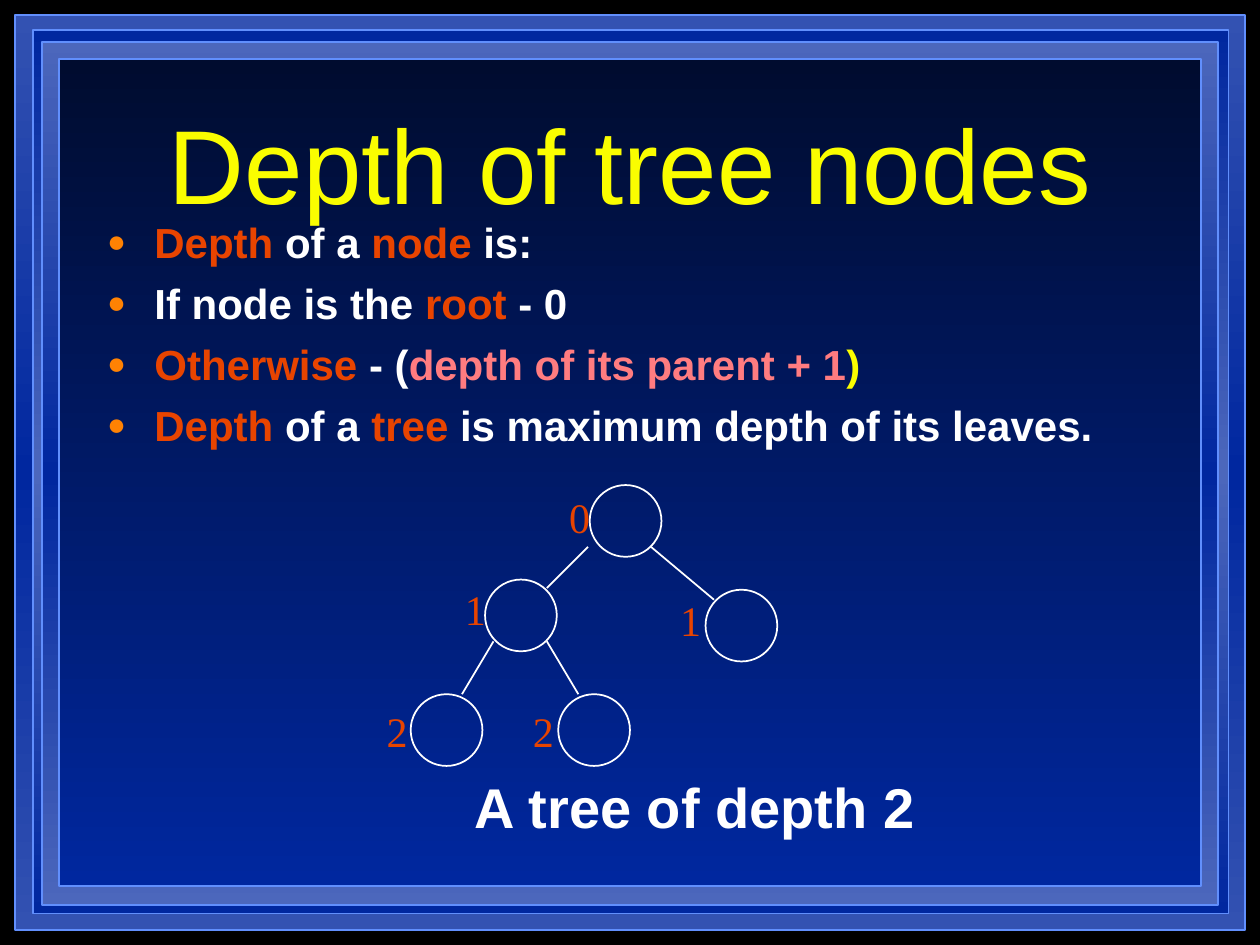
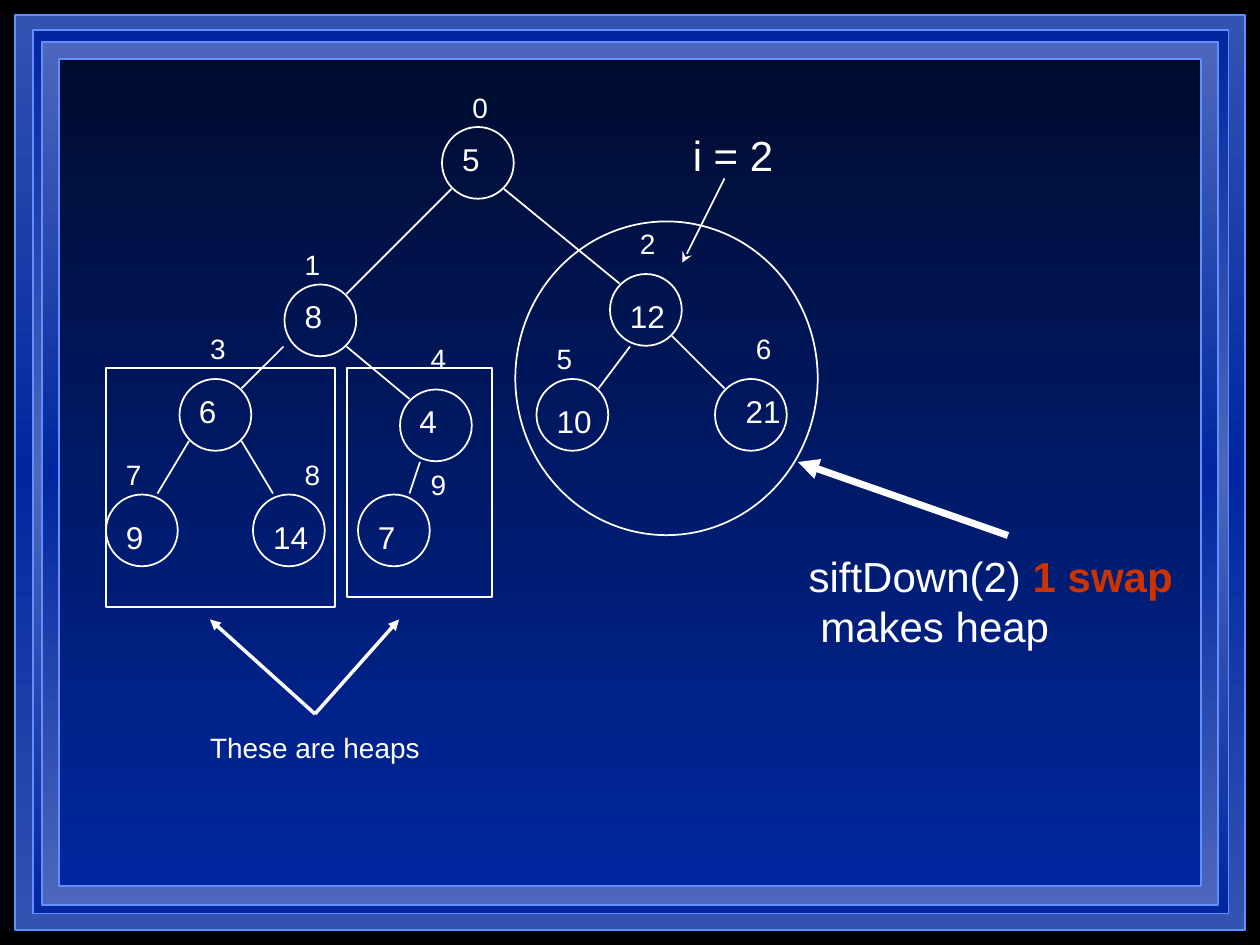
from lxml import etree
from pptx import Presentation
from pptx.dml.color import RGBColor
from pptx.enum.shapes import MSO_CONNECTOR, MSO_SHAPE
from pptx.enum.text import MSO_ANCHOR, MSO_AUTO_SIZE, PP_ALIGN
from pptx.oxml.ns import qn
from pptx.util import Pt

RECT, OVAL = MSO_SHAPE.RECTANGLE, MSO_SHAPE.OVAL
LEFT, CENTER = PP_ALIGN.LEFT, PP_ALIGN.CENTER
TOP, MIDDLE = MSO_ANCHOR.TOP, MSO_ANCHOR.MIDDLE
STRAIGHT = MSO_CONNECTOR.STRAIGHT

WHITE, YELLOW, ORANGE, PINK = "FFFFFF", "FAFD00", "E84400", "FF7C80"
RED, BULLET, EDGE, BLACK = "CC3300", "FF8203", "618FFD", "000000"
SANS, SERIF = "Arial", "Times New Roman"
NODE = 41  # diameter of every tree node

# Nested frames: left, top, width, height, gradient colours from top to bottom
FRAMES = [
    (8.6, 8.6, 702.8, 522.8, ("3352B2", "00279F", "3352B2")),
    (18.7, 17.3, 683.3, 504.8, ("00279F", "4C67BC", "00279F")),
    (23.8, 23.8, 672.4, 493.2, ("4C67BC", "00279F", "4C67BC")),
    (33.8, 33.8, 652.4, 472.4, ("000C2F", "00279F")),
]

# Slide 1: depth of tree nodes
DEPTH_TITLE = "Depth of tree nodes"
DEPTH_BULLETS = [
    [("Depth", ORANGE), (" of a ", WHITE), ("node", ORANGE), (" is:", WHITE)],
    [("If node is the ", WHITE), ("root", ORANGE), (" - 0", WHITE)],
    [("Otherwise", ORANGE), (" - (", WHITE),
     ("depth of its parent + 1", PINK), (")", YELLOW)],
    [("Depth", ORANGE), (" of a ", WHITE), ("tree", ORANGE),
     (" is maximum depth of its leaves.", WHITE)],
]
# Depth, node left and top, label left and top
DEPTH_NODES = [
    ("1", 403.2, 337, 381.6, 336.2),
    ("1", 277.2, 331.2, 258.5, 329.8),
    ("2", 234.7, 396.7, 213.8, 399.6),
    ("2", 319, 396.7, 297.4, 399.6),
]
DEPTH_ROOT = (337, 277.2)
DEPTH_EDGES = [
    (336, 312.5, 312.5, 336), (372, 312.5, 408, 342.7),
    (282, 366.5, 264, 396.7), (312.5, 366.5, 330.5, 396.7),
]

# Slide 2: heap nodes in index order
# Value, node left and top, value left and top, index left and top
HEAP_NODES = [
    ("5", 252.6, 72.6, 257, 76.3, 262.8, 48.2),
    ("8", 162.6, 162.6, 167, 166.3, 167, 138.2),
    ("12", 348.6, 156.6, 352.8, 166.3, 358.6, 126),
    ("6", 102.6, 216.6, 106.6, 220.3, 113, 185.8),
    ("4", 228.6, 222.6, 232.6, 226.3, 239, 191.5),
    ("10", 306.6, 216.6, 311, 226.3, 311, 191.5),
    ("21", 408.6, 216.6, 419, 220.3, 424.8, 185.8),
    ("9", 60.6, 282.6, 64.8, 292.3, 64.8, 257.8),
    ("14", 144.6, 282.6, 149, 292.3, 167, 257.8),
    ("7", 204.6, 282.6, 208.8, 292.3, 239, 263.5),
]
HEAP_EDGES = [
    (258, 108, 198, 168), (288, 108, 354, 162), (162, 198, 138, 222),
    (198, 198, 234, 228), (108, 252, 90, 282), (138, 252, 156, 282),
    (240, 264, 234, 282), (360, 198, 342, 222), (384, 192, 414, 222),
]
SUBTREE_OUTLINES = [
    (RECT, 60.5, 210.2, 131, 136.8),
    (RECT, 198.4, 210.2, 83, 131),
    (OVAL, 294.5, 126.5, 172.8, 179.3),
]
# Start, tip, line width, arrowhead
HEAP_ARROWS = [
    (180, 408, 120, 354, 2, "triangle"),
    (180, 408, 228, 354, 2, "triangle"),
    (414, 102, 390, 150, 1, "stealth"),
    (576, 306, 456, 264, 4, "triangle"),
]
SIFT_NOTE = [("siftDown(2) ", WHITE), ("1 swap", RED, True), ("\n", WHITE),
             (" makes heap", WHITE)]


def rgb(value):
    return RGBColor.from_string(value)


def place(s, x, y, w, h):
    s.left, s.top, s.width, s.height = Pt(x), Pt(y), Pt(w), Pt(h)


def write(p, content, size=24, color=WHITE, font=SANS, bold=False):
    """Fill a paragraph from a string or (text, colour, bold) runs."""
    runs = [(content, color)] if isinstance(content, str) else content
    for part, part_color, *part_bold in runs:
        if part == "\n":
            p.add_line_break()
            continue
        r = p.add_run()
        r.text = part
        r.font.name, r.font.size = font, Pt(size)
        r.font.bold = part_bold[0] if part_bold else bold
        r.font.color.rgb = rgb(part_color)


def text(slide, content, x, y, w, h, align=LEFT, anchor=TOP, wrap=False,
         **style):
    tf = slide.shapes.add_textbox(Pt(x), Pt(y), Pt(w), Pt(h)).text_frame
    tf.word_wrap, tf.vertical_anchor = wrap, anchor
    tf.paragraphs[0].alignment = align
    write(tf.paragraphs[0], content, **style)


def outline(slide, kind, x, y, w, h, color=WHITE):
    s = slide.shapes.add_shape(kind, Pt(x), Pt(y), Pt(w), Pt(h))
    s.shadow.inherit = False
    s.fill.background()
    s.line.color.rgb, s.line.width = rgb(color), Pt(1)
    return s


def node(slide, x, y):
    outline(slide, OVAL, x, y, NODE, NODE)


def line(slide, x1, y1, x2, y2, width=1, arrow=None):
    s = slide.shapes.add_connector(STRAIGHT, Pt(x1), Pt(y1), Pt(x2), Pt(y2))
    s.line.color.rgb, s.line.width = rgb(WHITE), Pt(width)
    if arrow:
        etree.SubElement(s.line._get_or_add_ln(), qn("a:tailEnd"), type=arrow)
    etree.SubElement(s.element.spPr, qn("a:effectLst"))


def shade(s, colors):
    """Top-to-bottom gradient with evenly spaced stops."""
    s.fill.gradient()
    s.fill.gradient_angle = 270
    stops = s.element.spPr.find(".//" + qn("a:gsLst"))
    for stop in list(stops):
        stops.remove(stop)
    for i, color in enumerate(colors):
        pos = 100000 * i // (len(colors) - 1)
        stop = etree.SubElement(stops, qn("a:gs"), pos=str(pos))
        etree.SubElement(stop, qn("a:srgbClr"), val=color)


def add_bullet(p):
    pPr = p._p.get_or_add_pPr()
    pPr.set("marL", str(Pt(27)))
    pPr.set("indent", str(-Pt(27)))
    color = etree.SubElement(pPr, qn("a:buClr"))
    etree.SubElement(color, qn("a:srgbClr"), val=BULLET)
    etree.SubElement(pPr, qn("a:buSzPct"), val="75000")
    etree.SubElement(pPr, qn("a:buChar"), char="●")


def decorate_master(prs, slide):
    """Draw the frames and move them to the master."""
    fill = prs.slide_master.background.fill
    fill.solid()
    fill.fore_color.rgb = rgb(BLACK)
    tree = prs.slide_master.shapes.element
    for i, (*box, colors) in enumerate(FRAMES):
        s = outline(slide, RECT, *box, color=EDGE)
        shade(s, colors)
        tree.insert(2 + i, s.element)


def build_depth(slide):
    # Title and bullets
    title, body = slide.shapes.title, slide.placeholders[1]
    place(title, 54, 48, 612, 90)
    place(body, 54, 120, 612, 360)
    for s, anchor in ((title, MIDDLE), (body, TOP)):
        s.text_frame.auto_size = MSO_AUTO_SIZE.NONE
        s.text_frame.vertical_anchor = anchor
    p = title.text_frame.paragraphs[0]
    p.alignment = CENTER
    write(p, DEPTH_TITLE, size=60, color=YELLOW)
    tf = body.text_frame
    for i, runs in enumerate(DEPTH_BULLETS):
        p = tf.add_paragraph() if i else tf.paragraphs[0]
        add_bullet(p)
        p.space_before = Pt(6 if i else 0)
        write(p, runs, bold=True)

    # Tree with depth labels
    label = dict(color=ORANGE, font=SERIF)
    node(slide, *DEPTH_ROOT)
    text(slide, "0", 318.2, 280.8, 14.4, 28.8, align=CENTER, anchor=MIDDLE,
         **label)
    for depth, x, y, label_x, label_y in DEPTH_NODES:
        node(slide, x, y)
        text(slide, depth, label_x, label_y, 26, 36, **label)
    for edge in DEPTH_EDGES:
        line(slide, *edge)
    text(slide, "A tree of depth 2", 264.2, 437.8, 270, 46, wrap=True,
         size=32, bold=True)


def build_heap(slide):
    # Tree with values and indices
    for i, (value, x, y, vx, vy, ix, iy) in enumerate(HEAP_NODES):
        node(slide, x, y)
        text(slide, value, vx, vy, 14.4 + 10 * len(value), 29, size=18)
        text(slide, str(i), ix, iy, 23.5, 26.6, size=16)
    for edge in HEAP_EDGES:
        line(slide, *edge)

    # Subtrees and notes
    for subtree in SUBTREE_OUTLINES:
        outline(slide, *subtree)
    for arrow in HEAP_ARROWS:
        line(slide, *arrow)
    text(slide, "These are heaps", 113, 414, 134.6, 26.6, size=16)
    text(slide, "i = 2", 388.8, 70.6, 60.5, 36)
    text(slide, SIFT_NOTE, 455, 311, 222.5, 65)


def main():
    prs = Presentation()
    prs.slide_width, prs.slide_height = Pt(720), Pt(540)
    depth = prs.slides.add_slide(prs.slide_layouts[1])
    heap = prs.slides.add_slide(prs.slide_layouts[6])
    decorate_master(prs, depth)
    build_depth(depth)
    build_heap(heap)
    prs.save("out.pptx")


if __name__ == "__main__":
    main()
